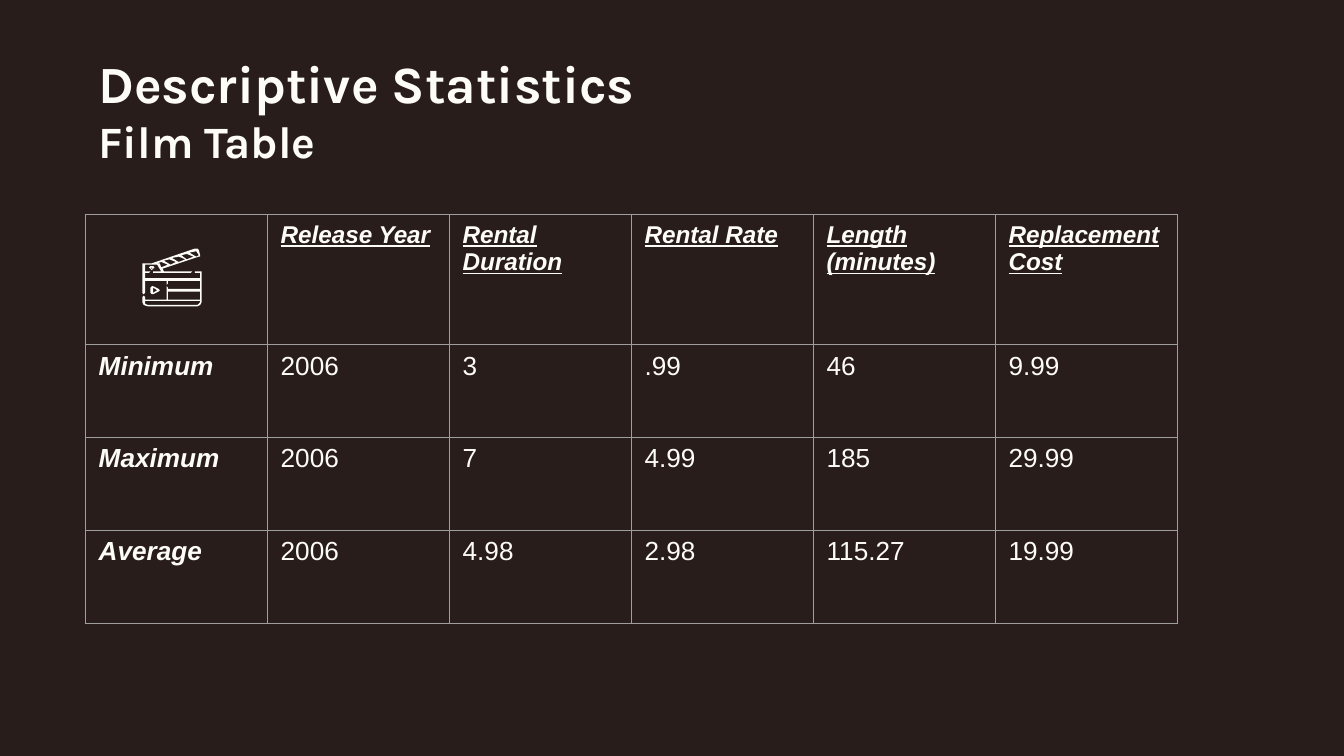
from lxml.etree import SubElement
from pptx import Presentation
from pptx.dml.color import RGBColor
from pptx.enum.text import MSO_ANCHOR as Anchor, MSO_AUTO_SIZE as AutoSize, PP_ALIGN as Align
from pptx.oxml import parse_xml
from pptx.oxml.ns import nsdecls, qn
from pptx.util import Pt

COLORS = {"background": "281D1B", "text": "FEFCF6", "border": "9E9E9E"}

TITLE = [("Descriptive Statistics", 28), ("Film Table", 24)]
ROWS = [
    ["", "Release Year", "Rental Duration", "Rental Rate", "Length\n(minutes)", "Replacement Cost"],
    ["Minimum", "2006", "3", ".99", "46", "9.99"],
    ["Maximum", "2006", "7", "4.99", "185", "29.99"],
    ["Average", "2006", "4.98", "2.98", "115.27", "19.99"],
]
TABLE_LEFT, TABLE_TOP = 45.7, 115
COLUMN_WIDTH = 97.5
ROW_HEIGHTS = [69.6, 49.8, 49.8, 49.8]

ICON_UNIT = 0.72
CLAPPERBOARD = [
    [(147, 227), (110, 227), (108.5, 226.5), (108, 225), (108, 224), (149, 224), (149, 225), (148.5, 226.5)],
    [(125, 217), (149, 217), (149, 223), (125, 223)],
    [(146, 187), (148, 190), (146, 191), (141, 188)],
    [(139, 189), (144, 191), (139, 193), (135, 190)],
    [(133, 191), (138, 193), (133, 195), (128, 192)],
    [(126, 193), (131, 195), (127, 197), (122, 194)],
    [(119, 196), (117, 196), (120, 195), (125, 197), (120, 199)],
    [(149, 202), (145, 202), (145, 203), (149, 203), (149, 207), (108, 207), (108, 203),
     (111, 203), (112, 202.5), (111, 202), (108, 202), (108, 197), (117, 197), (120, 202),
     (114, 202), (114, 203), (142, 203), (143, 202.5), (142, 202), (122, 202), (121, 200),
     (148, 191), (149, 191), (149, 190), (148, 186), (147, 185), (145, 185), (113, 196),
     (108, 196), (106.5, 196.3), (106, 197), (106, 218), (107, 219), (108, 218), (108, 209),
     (124, 209), (124, 211), (124.5, 212), (125, 211), (125, 209), (149, 209), (149, 215),
     (125, 215), (125, 214), (124.5, 213), (124, 214), (124, 223), (108, 223), (108, 221),
     (107, 220), (106, 221), (106, 225), (107.2, 227.2), (110, 228), (147, 228),
     (149.2, 227.2), (150, 225), (150, 203), (149.7, 202.2)],
]
HINGE = [
    [(113, 200), (112, 199.5), (113, 199), (114, 199.5)],
    [(115, 199), (114.5, 198.2), (113, 198), (111.5, 198.2), (111, 199), (111.5, 200.5),
     (113, 201), (114.5, 200.5)],
]
PLAY_BUTTON = [
    [(114, 214), (117, 216), (114, 218)],
    [(113, 219), (114, 219), (118, 217), (119, 216), (118, 215), (114, 213), (113, 213),
     (112, 214), (112, 218)],
]


def color(name):
    return RGBColor.from_string(COLORS[name])


def write_text(para, text, size=14, name="Arial", bold=False, italic=False,
               underline=False, align=Align.LEFT):
    para.alignment = align
    span = para.add_run()
    span.text = text
    font = span.font
    font.size, font.name = Pt(size), name
    font.bold, font.italic, font.underline = bold, italic, underline
    font.color.rgb = color("text")


def write_lines(frame, lines):
    for index, (text, style) in enumerate(lines):
        para = frame.paragraphs[0] if index == 0 else frame.add_paragraph()
        write_text(para, text, **style)


def add_borders(cell):
    properties = cell._tc.get_or_add_tcPr()
    for index, side in enumerate(["lnL", "lnR", "lnT", "lnB"]):
        line = parse_xml(f'<a:{side} {nsdecls("a")} w="{Pt(0.75)}"/>')
        fill = SubElement(line, qn("a:solidFill"))
        SubElement(fill, qn("a:srgbClr"), val=COLORS["border"])
        properties.insert(index, line)


def add_icon_part(page, contours):
    first, *others = contours
    builder = page.shapes.build_freeform(*first[0], scale=Pt(ICON_UNIT))
    builder.add_line_segments(first[1:], close=True)
    for contour in others:
        builder.move_to(*contour[0])
        builder.add_line_segments(contour[1:], close=True)
    shape = builder.convert_to_shape()
    shape.shadow.inherit = False
    shape.fill.solid()
    shape.fill.fore_color.rgb = color("text")
    shape.line.fill.background()


def add_title(page):
    box = page.shapes.title
    box.left, box.top, box.width, box.height = Pt(45.4), Pt(23.8), Pt(401), Pt(70.6)
    frame = box.text_frame
    frame.auto_size = AutoSize.NONE
    frame.vertical_anchor = Anchor.TOP
    frame.word_wrap = True
    write_lines(frame, [(text, {"size": size, "name": "Karla", "bold": True}) for text, size in TITLE])


def add_statistics(page):
    columns = len(ROWS[0])
    table = page.shapes.add_table(len(ROWS), columns, Pt(TABLE_LEFT), Pt(TABLE_TOP),
                                  Pt(COLUMN_WIDTH * columns), Pt(sum(ROW_HEIGHTS))).table
    table.first_row = table.horz_banding = False
    for column in table.columns:
        column.width = Pt(COLUMN_WIDTH)
    for row_index, (values, height) in enumerate(zip(ROWS, ROW_HEIGHTS)):
        table.rows[row_index].height = Pt(height)
        for column_index, value in enumerate(values):
            cell = table.cell(row_index, column_index)
            cell.fill.background()
            add_borders(cell)
            if row_index == 0:
                style = {"size": 13, "bold": True, "italic": True, "underline": True, "align": Align.JUSTIFY}
            else:
                style = {"bold": column_index == 0, "italic": column_index == 0}
            if value:
                write_lines(cell.text_frame, [(line, style) for line in value.split("\n")])


def main():
    deck = Presentation()
    deck.slide_width, deck.slide_height = Pt(720), Pt(405)
    page = deck.slides.add_slide(deck.slide_layouts[5])
    page.background.fill.solid()
    page.background.fill.fore_color.rgb = color("background")
    add_title(page)
    add_statistics(page)
    for contours in [CLAPPERBOARD, HINGE, PLAY_BUTTON]:
        add_icon_part(page, contours)
    deck.save("out.pptx")


if __name__ == "__main__":
    main()
